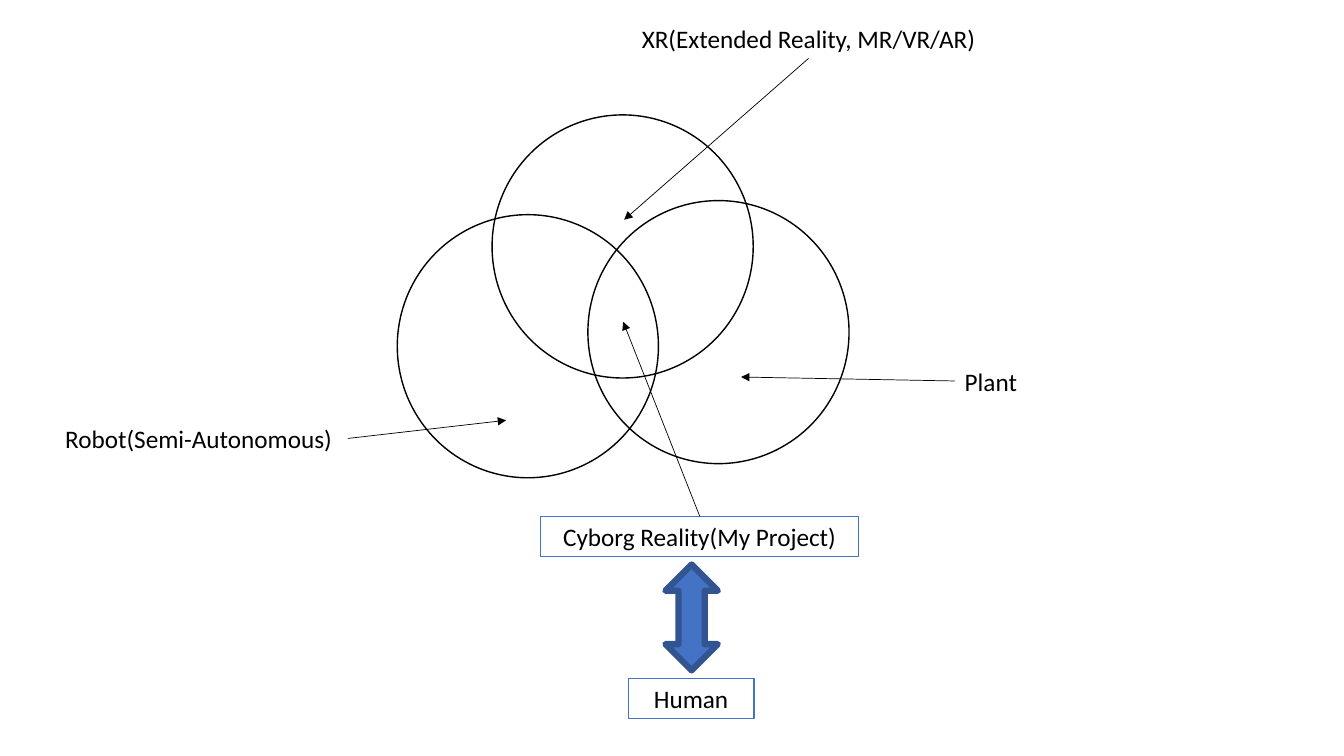
from collections import namedtuple

from pptx import Presentation
from pptx import util as u
from pptx.dml.color import RGBColor
from pptx.enum import shapes, text
from pptx.oxml.ns import qn
from lxml import etree

BLACK = RGBColor(0x00, 0x00, 0x00)
BLUE = RGBColor(0x44, 0x72, 0xC4)
DARK_BLUE = RGBColor(0x32, 0x54, 0x91)

SLIDE_WIDTH, SLIDE_HEIGHT = u.Inches(13.33), u.Inches(7.5)
COLUMN, ROW = SLIDE_WIDTH / 100, SLIDE_HEIGHT / 100
LABEL_ROWS = 5.33

# Shares of a box at which an arrow can start
TOP, BOTTOM, LEFT, RIGHT = (0.5, 0), (0.5, 1), (0, 0.5), (1, 0.5)


class Box(namedtuple("Box", "left top width height")):
    """An area of the slide, in columns and rows."""

    def inner(self, left, top, width, height):
        """An area inside this one, given in percent of it."""
        return Box(self.left + self.width * left / 100,
                   self.top + self.height * top / 100,
                   self.width * width / 100,
                   self.height * height / 100)

    def point(self, across, down):
        return self.left + self.width * across, self.top + self.height * down

    def lengths(self):
        return (u.Emu(int(self.left * COLUMN)), u.Emu(int(self.top * ROW)),
                u.Emu(int(self.width * COLUMN)), u.Emu(int(self.height * ROW)))


def write(shape, wording, align):
    frame = shape.text_frame
    frame.word_wrap = True
    frame.vertical_anchor = text.MSO_ANCHOR.TOP
    para = frame.paragraphs[0]
    para.alignment = align
    span = para.add_run()
    span.text = wording
    span.font.name = "Calibri"
    span.font.size = u.Pt(18)
    span.font.color.rgb = BLACK


def add_outline(page, kind, box, color, weight, fill=None):
    shape = page.shapes.add_shape(kind, *box.lengths())
    shape.shadow.inherit = False
    if fill is None:
        shape.fill.background()
    else:
        shape.fill.solid()
        shape.fill.fore_color.rgb = fill
    shape.line.color.rgb = color
    shape.line.width = u.Pt(weight)
    return shape


def add_arrow(page, start, end):
    ends = [u.Emu(int(value * unit)) for point in (start, end)
            for value, unit in zip(point, (COLUMN, ROW))]
    arrow = page.shapes.add_connector(shapes.MSO_CONNECTOR.STRAIGHT, *ends)
    arrow.line.color.rgb = BLACK
    arrow.line.width = u.Pt(0.5)
    properties = arrow._element.spPr
    etree.SubElement(properties.find(qn("a:ln")), qn("a:tailEnd"), type="triangle")
    etree.SubElement(properties, qn("a:effectLst"))


def add_venn(page, box):
    """Three overlapping circles: robot, plant and XR."""
    for left, top in ((0, 27.5), (42.19, 23.61), (20.98, 0)):
        circle = box.inner(left, top, 57.81, 72.5)
        add_outline(page, shapes.MSO_SHAPE.OVAL, circle, BLACK, 1)


def add_callouts(page, box):
    """Labels around the circles, each with an arrow into its circle."""
    center, left = text.PP_ALIGN.CENTER, text.PP_ALIGN.LEFT
    callouts = (
        ("Robot(Semi-Autonomous)", (3.68, 55.33, 22.2), center, RIGHT, (0.3766, 0.556)),
        ("Plant", (71.04, 47.73, 12.38), left, LEFT, (0.5514, 0.4987)),
        ("XR(Extended Reality, MR/VR/AR)", (43.66, 2.4, 33), center, BOTTOM,
         (0.4644, 0.2907)),
    )
    for wording, place, align, side, target in callouts:
        label = box.inner(*place, LABEL_ROWS)
        write(page.shapes.add_textbox(*label.lengths()), wording, align)
        add_arrow(page, label.point(*side), box.point(*target))


def add_project(page, box, target):
    """The project, pointing at the overlap and linked with the human."""
    project = box.inner(0, 0, 100, 19.9)
    human = box.inner(27.53, 80.1, 39.56, 19.9)
    for wording, area in (("Cyborg Reality(My Project)", project), ("Human", human)):
        frame = add_outline(page, shapes.MSO_SHAPE.RECTANGLE, area, BLUE, 0.75)
        write(frame, wording, text.PP_ALIGN.CENTER)
    add_arrow(page, project.point(*TOP), target)
    add_outline(page, shapes.MSO_SHAPE.UP_DOWN_ARROW,
                box.inner(39.24, 23.88, 16.46, 52.24), DARK_BLUE, 4.5, BLUE)


deck = Presentation()
deck.slide_width, deck.slide_height = SLIDE_WIDTH, SLIDE_HEIGHT
page = deck.slides.add_slide(deck.slide_layouts[6])

venn = Box(29.56, 15.2, 33.61, 48)
add_venn(page, venn)
add_callouts(page, Box(0, 0, 100, 100))
add_project(page, Box(40.21, 68.27, 23.7, 26.8), venn.point(0.5, 0.57))

deck.save("out.pptx")
